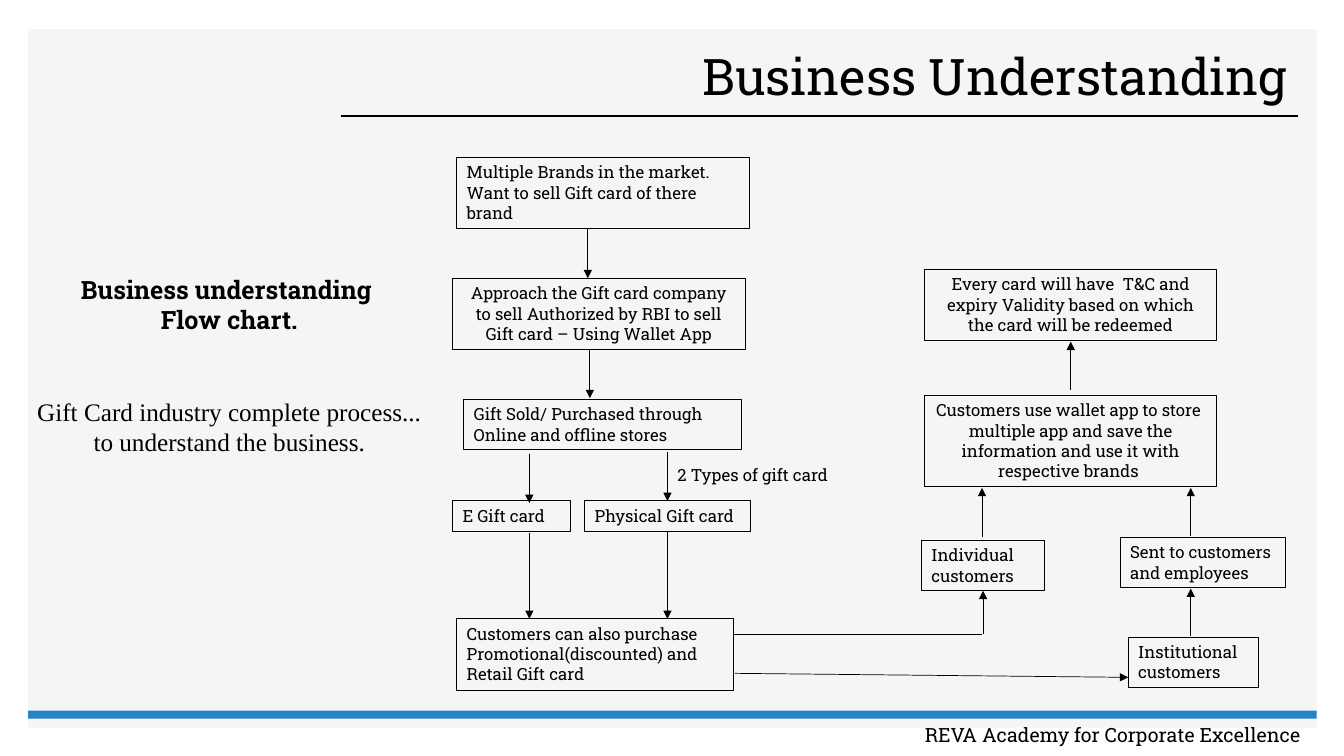
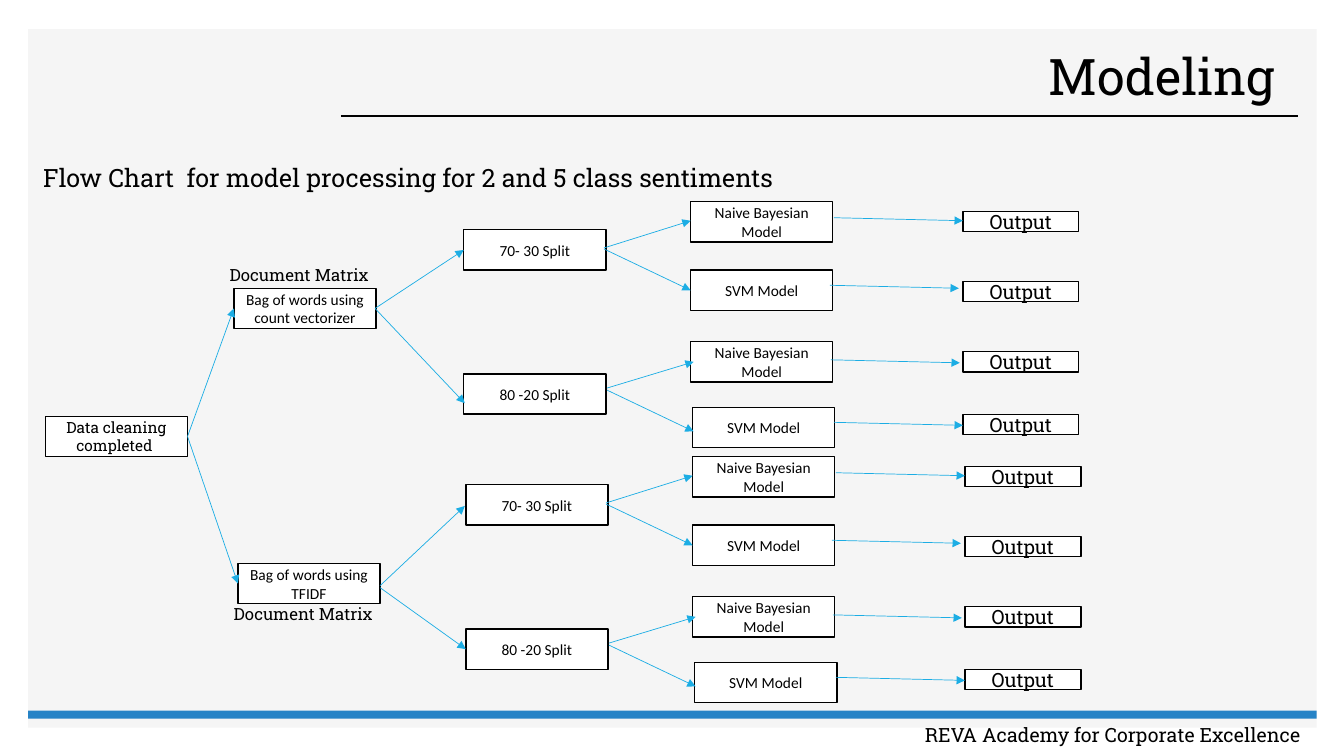
from typing import NamedTuple

from lxml import etree
from pptx import Presentation
from pptx.dml.color import RGBColor
from pptx.enum import shapes, text
from pptx.oxml import ns
from pptx.util import Inches, Pt

COLORS = {
    "panel": "F5F5F5", "band": "2683C6", "ink": "000000",
    "paper": "FFFFFF", "branch": "1CADE4",
}
SLAB, SANS, SERIF = "Roboto Slab", "Calibri", "Times New Roman"
LEFT, CENTER, RIGHT = text.PP_ALIGN.LEFT, text.PP_ALIGN.CENTER, text.PP_ALIGN.RIGHT
TOP, MIDDLE = text.MSO_ANCHOR.TOP, text.MSO_ANCHOR.MIDDLE


class Area(NamedTuple):
    left: float
    top: float
    width: float
    height: float


class Line(NamedTuple):
    x1: float
    y1: float
    x2: float
    y2: float


class Style(NamedTuple):
    size: float = 12
    font: str = SLAB
    align: text.PP_ALIGN = LEFT
    anchor: text.MSO_ANCHOR = TOP
    bold: bool = False
    spacing: float = 1.0
    before: float = 0


class Step(NamedTuple):
    area: Area
    lines: tuple[str, ...]
    align: text.PP_ALIGN = LEFT


def rgb(name: str) -> RGBColor:
    return RGBColor.from_string(COLORS[name])


def write(frame, lines: list[tuple[str, Style]]) -> None:
    """Fill a text frame, one paragraph per line."""
    frame.word_wrap = True
    frame.vertical_anchor = lines[0][1].anchor
    for index, (words, style) in enumerate(lines):
        paragraph = frame.add_paragraph() if index else frame.paragraphs[0]
        paragraph.alignment = style.align
        paragraph.line_spacing = style.spacing
        paragraph.space_before = Pt(style.before)
        run = paragraph.add_run()
        run.text = words
        run.font.name, run.font.size = style.font, Pt(style.size)
        run.font.bold = style.bold
        run.font.color.rgb = rgb("ink")


def add_label(slide, area: Area, *lines: tuple[str, Style]) -> None:
    label = slide.shapes.add_textbox(*map(Inches, area))
    write(label.text_frame, list(lines))


def add_box(slide, area: Area, lines: tuple[str, ...] = (), style: Style = Style(),
            fill: str | None = None, border: float = 0) -> None:
    box = slide.shapes.add_shape(shapes.MSO_SHAPE.RECTANGLE, *map(Inches, area))
    box.shadow.inherit = False
    if fill:
        box.fill.solid()
        box.fill.fore_color.rgb = rgb(fill)
    else:
        box.fill.background()
    if border:
        box.line.color.rgb = rgb("ink")
        box.line.width = Pt(border)
    else:
        box.line.fill.background()
    if lines:
        write(box.text_frame, [(words, style) for words in lines])


def add_line(slide, ends: Line, color: str = "ink", width: float = 0.5,
             arrow: bool = True) -> None:
    line = slide.shapes.add_connector(shapes.MSO_CONNECTOR.STRAIGHT, *map(Inches, ends))
    line.line.color.rgb = rgb(color)
    line.line.width = Pt(width)
    if arrow:
        etree.SubElement(line.line._get_or_add_ln(), ns.qn("a:tailEnd"), type="triangle")
    etree.SubElement(line._element.spPr, ns.qn("a:effectLst"))


def add_page(deck, title: str):
    """Start a slide with the shared panel, title, rule, band and footer."""
    slide = deck.slides.add_slide(deck.slide_layouts[6])
    add_box(slide, Area(0.28, 0.29, 12.78, 6.93), fill="panel")
    add_line(slide, Line(3.38, 1.15, 12.87, 1.15), width=1, arrow=False)
    add_box(slide, Area(0.28, 7.05, 12.78, 0.08), fill="band")
    add_label(slide, Area(7.82, 7.12, 5.23, 0.34),
              ("REVA Academy for Corporate Excellence ", Style(14, align=RIGHT)))
    add_label(slide, Area(3.7, 0.42, 9.17, 0.73),
              (title, Style(36, align=RIGHT, anchor=MIDDLE, spacing=0.9)))
    return slide


# Gift card process
GIFT_STEPS = [
    Step(Area(4.53, 1.56, 2.9, 0.71),
         ("Multiple Brands in the market.", "Want to sell Gift card of there brand")),
    Step(Area(4.49, 2.76, 2.9, 0.71),
         ("Approach the Gift card company to sell Authorized by RBI to sell "
          "Gift card – Using Wallet App",), CENTER),
    Step(Area(4.6, 3.96, 2.75, 0.5),
         ("Gift Sold/ Purchased through Online and offline stores",)),
    Step(Area(4.49, 4.97, 1.17, 0.3), ("E Gift card",)),
    Step(Area(5.8, 4.97, 1.64, 0.3), ("Physical Gift card",)),
    Step(Area(4.53, 6.14, 2.75, 0.71),
         ("Customers can also purchase", "Promotional(discounted) and Retail Gift card")),
    Step(Area(9.14, 5.36, 1.22, 0.5), ("Individual customers",)),
    Step(Area(11.19, 6.32, 1.29, 0.5), ("Institutional customers",)),
    Step(Area(11.11, 5.33, 1.64, 0.5), ("Sent to customers and employees",)),
    Step(Area(9.17, 3.92, 2.9, 0.91),
         ("Customers use wallet app to store  multiple app and save the "
          "information and use it with respective brands ",), CENTER),
    Step(Area(9.17, 2.67, 2.9, 0.71),
         ("Every card will have  T&C and expiry Validity based on which "
          "the card will be redeemed",), CENTER),
]
GIFT_ARROWS = [
    Line(5.83, 2.27, 5.83, 2.76), Line(5.85, 3.46, 5.85, 3.95),
    Line(5.25, 4.5, 5.25, 4.99), Line(6.62, 4.48, 6.62, 4.97),
    Line(5.25, 5.29, 5.25, 6.14), Line(6.62, 5.27, 6.62, 6.14),
    Line(9.75, 6.29, 9.75, 5.86), Line(7.29, 6.68, 11.19, 6.72),
    Line(11.81, 6.31, 11.81, 5.84), Line(11.81, 5.32, 11.81, 4.84),
    Line(9.74, 5.33, 9.74, 4.84), Line(10.62, 3.87, 10.62, 3.39),
]


def add_business_slide(deck) -> None:
    slide = add_page(deck, "Business Understanding")
    for step in GIFT_STEPS:
        add_box(slide, step.area, step.lines, Style(align=step.align), border=0.75)
    for arrow in GIFT_ARROWS:
        add_line(slide, arrow)
    add_line(slide, Line(7.28, 6.29, 9.74, 6.29), arrow=False)
    add_label(slide, Area(6.62, 4.56, 2.19, 0.3), ("2 Types of gift card", Style()))
    heading = Style(18, align=CENTER, bold=True)
    add_label(slide, Area(0.26, 2.67, 4.03, 1.92),
              ("Business understanding ", heading), ("Flow chart.", heading),
              ("Gift Card industry complete process... to understand the business.",
               Style(18, SERIF, CENTER, before=44)))


# Model tree: the lower half repeats the upper one, shifted
NODE_W, NODE_H = 1.41, 0.4
OUTPUT_W, OUTPUT_H = 1.15, 0.2
SPLITS = [("70- 30 Split", 2.28), ("80 -20 Split", 3.71)]
MODEL_NAMES = ("Naive Bayesian Model", "SVM Model")
MODEL_SPOTS = [(6.85, 2.0), (6.85, 2.68), (6.85, 3.39), (6.87, 4.04)]
OUTPUT_TOPS = [2.1, 2.79, 3.49, 4.11]
OUTPUT_ARROW_STARTS = [(8.27, 2.16), (8.23, 2.83), (8.24, 3.57), (8.27, 4.19)]
SPLIT_ARROWS = [Line(5.99, 2.46, 6.85, 2.19), Line(5.99, 2.47, 6.85, 2.88),
                Line(6.02, 3.85, 6.88, 3.59), Line(6.02, 3.87, 6.88, 4.28)]


class Branch(NamedTuple):
    matrix: str
    left: float
    top: float
    label_top: float
    dx: float
    dy: float
    arrows: tuple[Line, ...]


BRANCHES = [
    Branch("Bag of words using count vectorizer", 2.32, 2.86, 2.58, 0, 0,
           (Line(1.86, 4.33, 2.32, 3.06), Line(3.72, 3.06, 4.6, 2.48),
            Line(3.72, 3.06, 4.61, 4))),
    Branch("Bag of words using TFIDF", 2.36, 5.59, 5.94, 0.02, 2.53,
           (Line(1.86, 4.33, 2.36, 5.79), Line(3.77, 5.81, 4.61, 5.02),
            Line(3.77, 5.83, 4.62, 6.44))),
]


def add_node(slide, left: float, top: float, *lines: str, font: str = SANS) -> None:
    add_box(slide, Area(left, top, NODE_W, NODE_H), lines,
            Style(11, font, CENTER, MIDDLE), "paper", 1)


def add_branch(slide, branch: Branch) -> None:
    dx, dy = branch.dx, branch.dy
    add_node(slide, branch.left, branch.top, branch.matrix)
    for name, top in SPLITS:
        add_node(slide, 4.6 + dx, top + dy, name)
    for index, (left, top) in enumerate(MODEL_SPOTS):
        add_node(slide, left + dx, top + dy, MODEL_NAMES[index % 2])
    for top in OUTPUT_TOPS:
        add_box(slide, Area(9.55 + dx, top + dy, OUTPUT_W, OUTPUT_H), ("Output",),
                Style(14, align=CENTER, anchor=MIDDLE), "paper", 1)
    arrows = SPLIT_ARROWS + [Line(x, y, x + 1.28, y + 0.03) for x, y in OUTPUT_ARROW_STARTS]
    shifted = [Line(a.x1 + dx, a.y1 + dy, a.x2 + dx, a.y2 + dy) for a in arrows]
    for arrow in [*branch.arrows, *shifted]:
        add_line(slide, arrow, "branch")
    add_label(slide, Area(branch.left - 0.14, branch.label_top, 2.24, 0.3),
              ("Document Matrix", Style()))


def add_modeling_slide(deck) -> None:
    slide = add_page(deck, "Modeling ")
    add_label(slide, Area(0.33, 1.56, 9.52, 0.71),
              ("Flow Chart  for model processing for 2 and 5 class sentiments", Style(18)))
    add_node(slide, 0.45, 4.13, "Data cleaning", "completed ", font=SLAB)
    for branch in BRANCHES:
        add_branch(slide, branch)


def main() -> None:
    deck = Presentation()
    deck.slide_width, deck.slide_height = Inches(13.33), Inches(7.5)
    add_business_slide(deck)
    add_modeling_slide(deck)
    deck.save("out.pptx")


if __name__ == "__main__":
    main()
